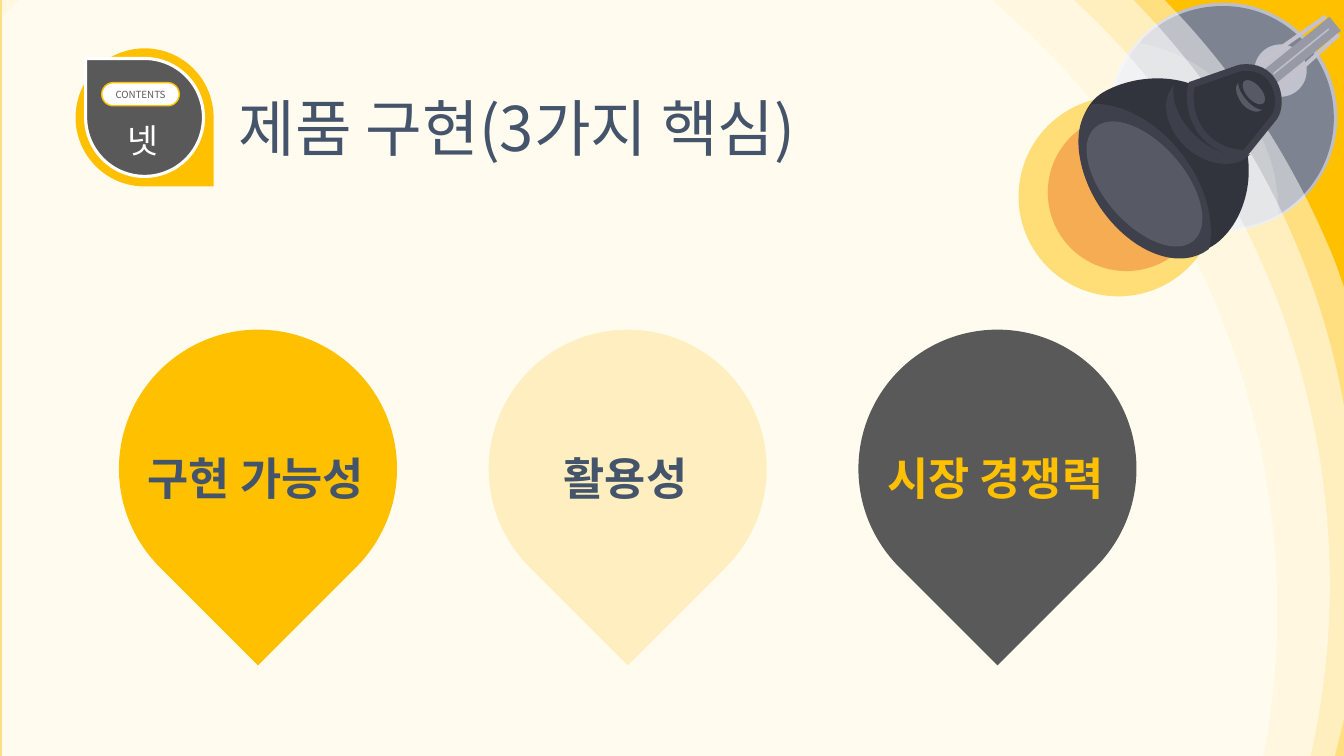
from pptx import Presentation
from pptx.dml.color import RGBColor
from pptx.enum.shapes import MSO_SHAPE as SHAPE
from pptx.enum.text import MSO_ANCHOR as ANCHOR, PP_ALIGN as ALIGN
from pptx.oxml.ns import qn
from pptx.util import Inches, Pt
from lxml.etree import SubElement

FONT = "Noto Sans CJK KR"
COLORS = {
    "amber": "FFC000", "cream": "FFEFC0", "orange": "ED7D31", "white": "FFFFFF",
    "gray": "595959", "navy": "44546A", "disc": "7D8391", "shade": "969BA1",
    "rim": "BCBECA", "cap": "C0C2CE", "pin": "C5C2CD", "pin_edge": "9799A5",
    "body": "31343D", "edge": "3D3F4B", "lip": "3E404C", "glass": "575965",
}


def paint(sp, fill, alpha=None, line=None, width=0):
    """Set fill, transparency and outline of a shape."""
    sp.shadow.inherit = False
    sp.fill.solid()
    sp.fill.fore_color.rgb = RGBColor.from_string(COLORS[fill])
    if alpha:
        color = sp._element.spPr.find(qn("a:solidFill"))[0]
        SubElement(color, qn("a:alpha")).set("val", str(alpha * 1000))
    if line:
        sp.line.color.rgb = RGBColor.from_string(COLORS[line])
        sp.line.width = Pt(width)
        SubElement(sp._element.spPr.find(qn("a:ln")), qn("a:miter")).set("lim", "800000")
    else:
        sp.line.fill.background()
    return sp


def add_preset(s, kind, box, fill, rotation=0, **style):
    """Add a painted preset shape in a box of inches."""
    sp = s.shapes.add_shape(kind, *map(Inches, box))
    sp.rotation = rotation
    return paint(sp, fill, **style)


def curve_points(start, curve, steps=16):
    """Return points along a cubic curve."""
    pts = [start, curve[:2], curve[2:4], curve[4:]]
    result = []
    for i in range(1, steps + 1):
        t = i / steps
        weights = ((1 - t) ** 3, 3 * t * (1 - t) ** 2, 3 * t * t * (1 - t), t ** 3)
        result.append(tuple(sum(w * p[k] for w, p in zip(weights, pts)) for k in (0, 1)))
    return result


def add_outline(s, origin, steps, fill, **style):
    """Add a closed outline of points and six-number cubic curves."""
    points = [steps[0]]
    for step in steps[1:]:
        points += [step] if len(step) == 2 else curve_points(points[-1], step)
    placed = [(Inches(origin[0] + x), Inches(origin[1] + y)) for x, y in points]
    builder = s.shapes.build_freeform(*placed[0], scale=1.0)
    builder.add_line_segments(placed[1:], close=True)
    sp = builder.convert_to_shape()
    geometry = next(sp._element.iter(qn("a:path")))
    for child in list(geometry):
        geometry.remove(child)
    for i, step in enumerate(steps):
        tag = "a:moveTo" if i == 0 else "a:lnTo" if len(step) == 2 else "a:cubicBezTo"
        command = SubElement(geometry, qn(tag))
        for x, y in zip(step[::2], step[1::2]):
            pt = SubElement(command, qn("a:pt"))
            pt.set("x", str(Inches(origin[0] + x) - sp.left))
            pt.set("y", str(Inches(origin[1] + y) - sp.top))
    SubElement(geometry, qn("a:close"))
    return paint(sp, fill, **style)


def write(sp, text, size, color, align=ALIGN.CENTER, anchor=ANCHOR.TOP, bold=False, spacing=1.0):
    """Write one paragraph into a shape."""
    tf = sp.text_frame
    tf.word_wrap = True
    tf.vertical_anchor = anchor
    p = tf.paragraphs[0]
    p.alignment, p.line_spacing = align, spacing
    r = p.add_run()
    r.text = text
    for name, value in {"size": Pt(size), "bold": bold, "name": FONT}.items():
        setattr(r.font, name, value)
    r.font.color.rgb = RGBColor.from_string(COLORS[color])
    SubElement(r.font._element, qn("a:ea")).set("typeface", FONT)


def add_text(s, box, *args, **style):
    """Add a text box in a box of inches."""
    write(s.shapes.add_textbox(*map(Inches, box)), *args, **style)


def add_lamp_base(s, x, y):
    """Draw the disc and the socket pins behind the bands."""
    add_preset(s, SHAPE.OVAL, (x + 1.03, y + 0.05, 2.22, 2.22), "disc", line="rim", width=3.5)
    add_outline(s, (x, y), [
        (1.32, 0.42), (1.34, 0.43), (2.12, 0.58, 2.7, 1.27, 2.7, 2.09), (2.7, 2.12), (2.67, 2.14),
        (2.51, 2.22, 2.33, 2.27, 2.14, 2.27), (1.53, 2.27, 1.03, 1.77, 1.03, 1.16),
        (1.03, 0.89, 1.13, 0.65, 1.29, 0.45), (1.32, 0.42)], "shade")
    add_outline(s, (x, y), [
        (2.14, 0.06), (2.75, 0.06, 3.24, 0.56, 3.24, 1.17), (3.24, 1.55, 3.05, 1.89, 2.75, 2.09),
        (2.69, 2.13), (2.69, 2.1), (2.69, 1.28, 2.11, 0.59, 1.34, 0.43), (1.31, 0.43),
        (1.35, 0.38), (1.55, 0.18, 1.83, 0.06, 2.14, 0.06)], "disc")
    add_preset(s, SHAPE.OVAL, (x + 2.45, y + 0.44, 0.52, 0.52), "cap")
    add_preset(s, SHAPE.RECTANGLE, (x + 2.52, y + 0.46, 0.79, 0.1), "rim", 321,
               line="pin_edge", width=5.75)
    for dx, dy, angle in ((2.44, 0.37, 324.9), (2.6, 0.59, 317.9)):
        add_preset(s, SHAPE.RECTANGLE, (x + dx, y + dy, 0.79, 0.04), "pin", angle)


def add_bands(s, x, y, w, h):
    """Layer half-clear white sheets with curved right edges."""
    edges = [
        [(0.02, 0.17), (0.19, 0), (11.56, 0), (11.75, 0.2), (12.39, 0.9, 12.9, 1.72, 13.26, 2.62),
         (w, 2.85), (w, h)],
        [(0.02, 0), (11.25, 0), (11.44, 0.2), (12.4, 1.25, 13.08, 2.57, w, 4.03),
         (w, 7.13), (13.25, h)],
        [(0, 0), (10.66, 0), (10.87, 0.2), (12.3, 1.63, 13.2, 3.61, 13.2, 5.81),
         (13.2, 6.35, 13.14, 6.89, 13.03, 7.4), (13.01, h)],
        [(0.02, 0), (9.85, 0), (10.08, 0.21), (11.68, 1.66, 12.68, 3.75, 12.68, 6.08),
         (12.68, 6.49, 12.64, 6.89, 12.58, 7.29), (12.54, h)],
    ]
    for edge in edges:
        add_outline(s, (x, y), edge + [(edge[0][0], h)], "white", alpha=50)


def add_badge(s, x, y, size):
    """Draw the section badge with its label and number."""
    inset = 0.1
    add_preset(s, SHAPE.TEAR, (x, y, size, size), "amber", 90)
    add_preset(s, SHAPE.TEAR, (x + inset, y + inset, size - 2 * inset, size - 2 * inset),
               "gray", 270, line="white", width=2.25)
    label = add_preset(s, SHAPE.ROUNDED_RECTANGLE, (x + 0.26, y + 0.34, 0.77, 0.23), "white",
                       line="amber", width=1)
    label.adjustments[0] = 0.5
    write(label, "CONTENTS", 7, "gray", anchor=ANCHOR.MIDDLE)
    add_text(s, (x + 0.07, y + 0.66, 1.19, 0.5), "넷", 24, "white")


def add_bulb(s, x, y):
    """Draw the bulb and its glow."""
    add_preset(s, SHAPE.OVAL, (x + 0.11, y + 0.96, 1.98, 1.98), "amber", alpha=50)
    add_preset(s, SHAPE.OVAL, (x + 0.4, y + 1.13, 1.56, 1.56), "orange", alpha=50)
    add_outline(s, (x, y), [
        (0.94, 2.08), (0.64, 1.66, 0.62, 1.08, 0.98, 0.9), (1.34, 0.71, 1.92, 0.71, 2.22, 1.13),
        (2.52, 1.55, 2.41, 2.15, 2.08, 2.41), (1.75, 2.66, 1.24, 2.5, 0.94, 2.08)], "body")
    add_outline(s, (x, y), [
        (0.88, 1.03), (1.17, 1.04, 1.5, 1.22, 1.74, 1.54), (1.96, 1.83, 2.05, 2.16, 2.01, 2.43),
        (2, 2.46), (2, 2.47), (1.71, 2.69, 1.25, 2.51, 0.95, 2.1),
        (0.69, 1.74, 0.62, 1.27, 0.82, 1.06), (0.84, 1.03), (0.88, 1.03)], "lip")
    add_outline(s, (x, y), [
        (2.36, 0.67), (2.69, 0.66, 2.74, 1.03, 2.65, 1.16), (2.36, 1.52), (2.32, 1.52),
        (2.18, 1.51, 2.05, 1.45, 1.95, 1.34), (1.84, 1.21, 1.8, 1.04, 1.82, 0.88), (1.83, 0.84),
        (2.29, 0.68), (2.31, 0.67, 2.34, 0.67, 2.36, 0.67)], "body", line="edge", width=4.75)
    for dx, dy, w, h in ((0.96, 1.08, 0.8, 1.49), (2.37, 0.77, 0.15, 0.29)):
        add_preset(s, SHAPE.OVAL, (x + dx, y + dy, w, h), "glass", 319)
    add_outline(s, (x, y), [
        (2.29, 0.82), (2.29, 0.86, 2.31, 0.92, 2.37, 0.99), (2.43, 1.06, 2.49, 1.09, 2.53, 1.09),
        (2.48, 1.13, 2.39, 1.1, 2.33, 1.03), (2.27, 0.95, 2.25, 0.86, 2.29, 0.82)], "glass")
    add_outline(s, (x, y), [
        (1.65, 0.85), (1.63, 0.98, 1.68, 1.18, 1.88, 1.36), (2.08, 1.54, 2.28, 1.56, 2.41, 1.53),
        (2.27, 1.68, 1.99, 1.65, 1.78, 1.47), (1.57, 1.28, 1.51, 1, 1.65, 0.85)], "edge")


def add_drops(s, x, y, size, pitch):
    """Draw the row of three captioned drops."""
    drops = (("구현 가능성", "amber", "navy"), ("활용성", "cream", "navy"),
             ("시장 경쟁력", "gray", "amber"))
    for i, (text, fill, color) in enumerate(drops):
        left = x + i * pitch
        add_preset(s, SHAPE.TEAR, (left, y, size, size), fill, 135)
        add_text(s, (left + 0.03, y + 1.15, size - 0.1, 0.64), text, 32, color, bold=True)


def main():
    """Build and save the slide."""
    prs = Presentation()
    prs.slide_width, prs.slide_height = Inches(13.34), Inches(7.5)
    s = prs.slides.add_slide(prs.slide_layouts[6])
    s.background.fill.solid()
    s.background.fill.fore_color.rgb = RGBColor.from_string(COLORS["amber"])
    add_lamp_base(s, 10, 0)
    add_bands(s, 0, 0, 13.34, 7.5)
    add_badge(s, 0.75, 0.48, 1.37)
    add_bulb(s, 10, 0)
    add_text(s, (2.27, 0.58, 7.81, 1.45), "제품 구현(3가지 핵심)", 44, "navy",
             align=ALIGN.LEFT, anchor=ANCHOR.MIDDLE, spacing=0.9)
    add_drops(s, 1.18, 3.27, 2.76, 3.67)
    prs.save("out.pptx")


if __name__ == "__main__":
    main()
